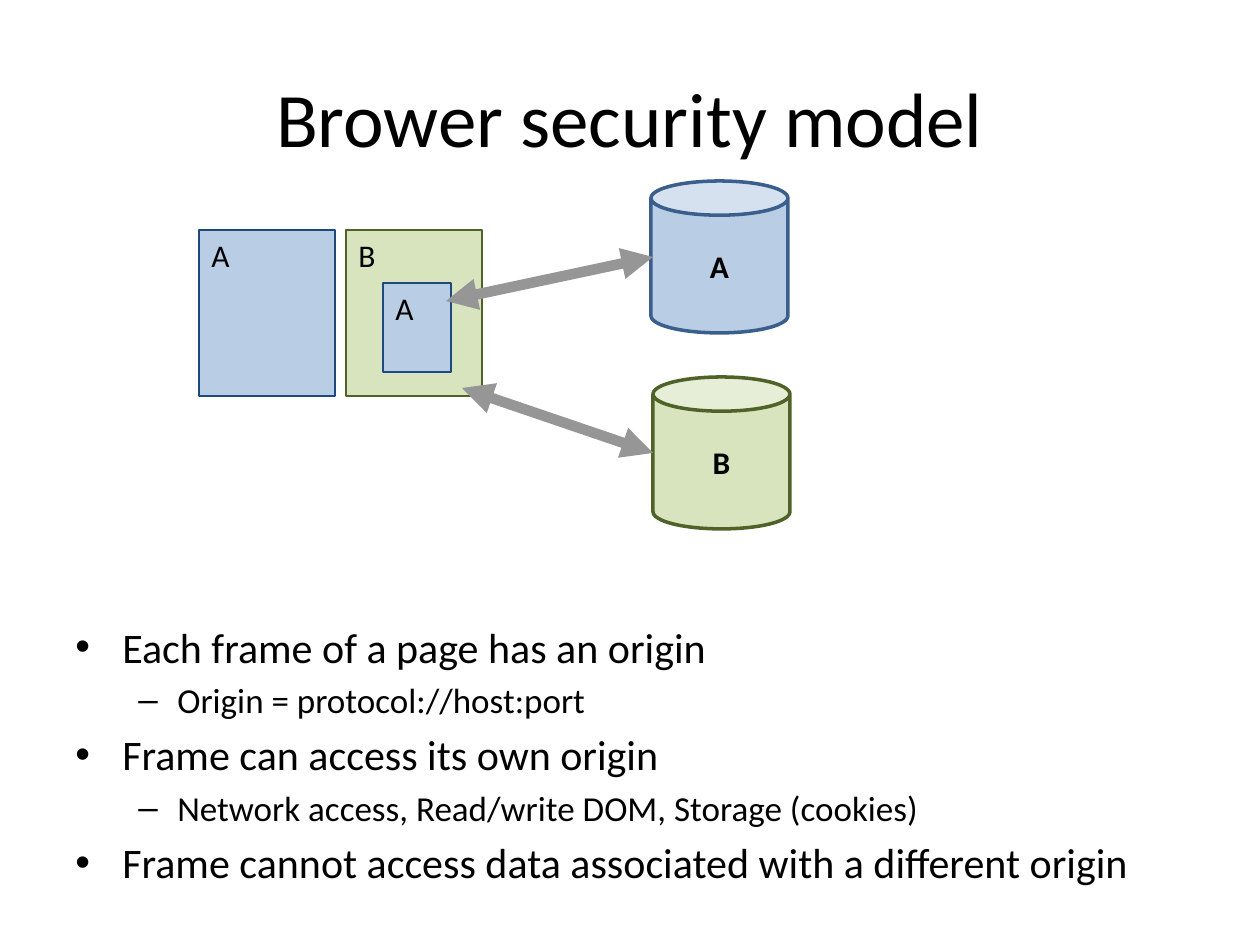
"""Build the browser security model slide."""
import dataclasses

import lxml.etree
import pptx
import pptx.dml.color
import pptx.enum.shapes
import pptx.enum.text
import pptx.oxml.ns
import pptx.util

ALIGN = pptx.enum.text.PP_ALIGN
ANCHOR = pptx.enum.text.MSO_ANCHOR
SHAPE = pptx.enum.shapes.MSO_SHAPE


@dataclasses.dataclass(frozen=True)
class Theme:
    font: str = "Calibri"
    ink: str = "000000"
    arrow: str = "969696"
    blue: str = "B9CDE5"
    green: str = "D7E4BD"
    blue_frame: str = "1F497D"
    blue_store: str = "3A5F8C"
    green_line: str = "4F6228"
    title_size: int = 44
    bullet_sizes: tuple = (24, 20)
    label_size: int = 18
    frame_line: float = 0.75
    store_line: int = 2
    arrow_line: int = 6


def px(value):
    return pptx.util.Emu(round(value * 914400 / 126))


def color(value):
    return pptx.dml.color.RGBColor.from_string(value)


def add_element(parent, tag, **attributes):
    return lxml.etree.SubElement(parent, pptx.oxml.ns.qn(tag), attributes)


class SlideBuilder:
    def __init__(self, page, theme):
        self.page = page
        self.theme = theme

    def add_span(self, para, text, size, bold=False):
        span = para.add_run()
        span.text = text
        span.font.name = self.theme.font
        span.font.size = pptx.util.Pt(size)
        span.font.bold = bold
        span.font.color.rgb = color(self.theme.ink)

    def title(self, text, left, top, width, height):
        box = self.page.shapes.title
        box.left, box.top, box.width, box.height = map(px, (left, top, width, height))
        box.text_frame.vertical_anchor = ANCHOR.MIDDLE
        para = box.text_frame.paragraphs[0]
        para.alignment = ALIGN.CENTER
        self.add_span(para, text, self.theme.title_size)

    def bullets(self, items, left, top, width, height):
        box = self.page.shapes.add_textbox(*map(px, (left, top, width, height)))
        frame = box.text_frame
        frame.word_wrap = True
        styles = (("•", 47, 47), ("–", 102, 39))
        for index, (level, text) in enumerate(items):
            para = frame.add_paragraph() if index else frame.paragraphs[0]
            mark, margin, hanging = styles[level]
            size = self.theme.bullet_sizes[level]
            para.level = level
            properties = para._p.get_or_add_pPr()
            properties.set("marL", str(px(margin)))
            properties.set("indent", str(px(-hanging)))
            add_element(properties, "a:buFont", typeface="Arial")
            add_element(properties, "a:buChar", char=mark)
            if index:
                para.space_before = pptx.util.Pt(size * 0.2)
            self.add_span(para, text, size)

    def shape(self, kind, text, bounds, fill, line, weight, centered=False):
        shape = self.page.shapes.add_shape(kind, *map(px, bounds))
        shape.shadow.inherit = False
        shape.fill.solid()
        shape.fill.fore_color.rgb = color(fill)
        shape.line.color.rgb = color(line)
        shape.line.width = pptx.util.Pt(weight)
        frame = shape.text_frame
        frame.word_wrap = True
        frame.vertical_anchor = ANCHOR.MIDDLE if centered else ANCHOR.TOP
        para = frame.paragraphs[0]
        para.alignment = ALIGN.CENTER if centered else ALIGN.LEFT
        self.add_span(para, text, self.theme.label_size, bold=centered)

    def frame(self, text, bounds, fill, line):
        self.shape(SHAPE.RECTANGLE, text, bounds, fill, line, self.theme.frame_line)

    def store(self, text, left, top, fill, line):
        bounds = (left, top, 137, 152)
        self.shape(SHAPE.CAN, text, bounds, fill, line, self.theme.store_line, centered=True)

    def double_arrow(self, *ends):
        arrow = self.page.shapes.add_connector(
            pptx.enum.shapes.MSO_CONNECTOR.STRAIGHT, *map(px, ends))
        arrow.line.color.rgb = color(self.theme.arrow)
        arrow.line.width = pptx.util.Pt(self.theme.arrow_line)
        outline = arrow.line._get_or_add_ln()
        for tag in ("a:headEnd", "a:tailEnd"):
            add_element(outline, tag, type="triangle")
        add_element(arrow._element.spPr, "a:effectLst")


def main():
    deck = pptx.Presentation()
    deck.slide_width, deck.slide_height = px(1260), px(945)
    theme = Theme()
    builder = SlideBuilder(deck.slides.add_slide(deck.slide_layouts[5]), theme)

    builder.title("Brower security model", 63, 38, 1134, 158)
    builder.bullets([
        (0, "Each frame of a page has an origin"),
        (1, "Origin = protocol://host:port"),
        (0, "Frame can access its own origin"),
        (1, "Network access, Read/write DOM, Storage (cookies)"),
        (0, "Frame cannot access data associated with a different origin"),
    ], 63, 615, 1134, 267)

    builder.frame("A", (199, 230, 136, 166), theme.blue, theme.blue_frame)
    builder.store("A", 651, 181, theme.blue, theme.blue_store)
    builder.store("B", 653, 377, theme.green, theme.green_line)
    builder.frame("B", (346, 230, 136, 166), theme.green, theme.green_line)
    builder.frame("A", (383, 283, 68, 89), theme.blue, theme.blue_frame)
    builder.double_arrow(462, 388, 653, 453)
    builder.double_arrow(446, 301, 653, 257)

    deck.save("out.pptx")


if __name__ == "__main__":
    main()
